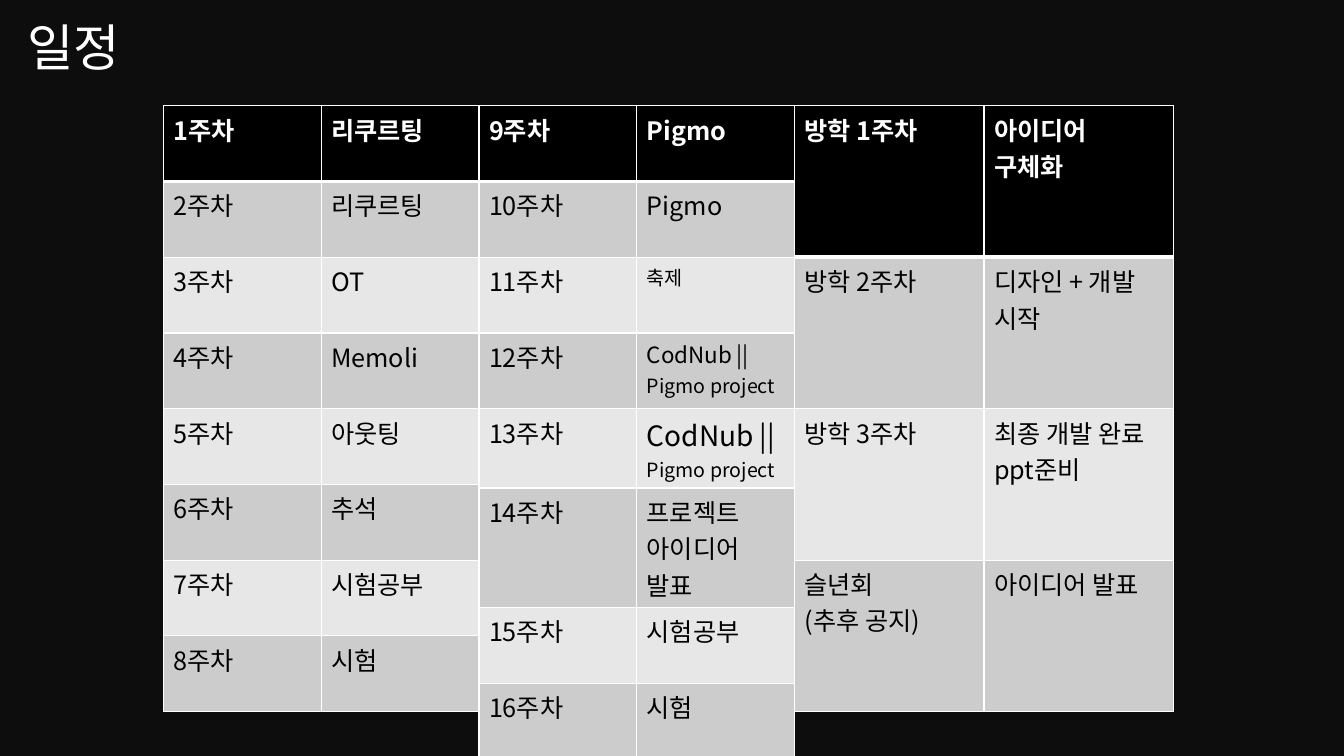
from lxml.etree import SubElement
from pptx import Presentation
from pptx.dml.color import RGBColor
from pptx.enum.text import MSO_ANCHOR, PP_ALIGN
from pptx.oxml.ns import qn
from pptx.util import Inches, Pt

BACK = RGBColor(0x0D, 0x0D, 0x0D)
BLACK = RGBColor(0, 0, 0)
WHITE = RGBColor(0xFF, 0xFF, 0xFF)
DARK = RGBColor(0xCC, 0xCC, 0xCC)
LIGHT = RGBColor(0xE7, 0xE7, 0xE7)
FONT = "Noto Sans CJK KR"

# Schedule rows: week, plan, then the size of each line where it is not 18
FIRST = [
    ("1주차", "리쿠르팅"), ("2주차", "리쿠르팅"), ("3주차", "OT"),
    ("4주차", "Memoli"), ("5주차", "아웃팅"), ("6주차", "추석"),
    ("7주차", "시험공부"), ("8주차", "시험"),
]
SECOND = [
    ("9주차", "Pigmo"), ("10주차", "Pigmo"), ("11주차", "축제", 14),
    ("12주차", "CodNub ||\vPigmo project", 16, 14),
    ("13주차", "CodNub ||\vPigmo project", 20, 14),
    ("14주차", "프로젝트 아이디어 발표"), ("15주차", "시험공부"), ("16주차", "시험"),
]
BREAK = [
    ("방학 1주차", "아이디어 \v구체화"), ("방학 2주차", "디자인 + 개발 시작"),
    ("방학 3주차", "최종 개발 완료 ppt준비"), ("슬년회\n(추후 공지)", "아이디어 발표"),
]


def set_font(font, size, color, bold=False):
    font.size, font.bold = Pt(size), bold
    font.color.rgb = color
    font.name = FONT
    SubElement(font._element, qn("a:ea"), typeface=FONT)


def add_edges(cell, head):
    props = cell._tc.get_or_add_tcPr()
    for side in "LRTB":
        width = 3 if head and side == "B" else 1
        line = SubElement(props, qn(f"a:ln{side}"), w=str(Pt(width)))
        fill = SubElement(line, qn("a:solidFill"))
        SubElement(fill, qn("a:srgbClr"), val=str(WHITE))


def fill_cell(cell, row, text, sizes):
    head = row == 0
    add_edges(cell, head)
    cell.fill.solid()
    cell.fill.fore_color.rgb = BLACK if head else DARK if row % 2 else LIGHT
    cell.text_frame.text = text
    for para in cell.text_frame.paragraphs:
        set_font(para.font, sizes[0] if sizes else 18, WHITE if head else BLACK, head)
        for run, size in zip(para.runs, sizes):
            run.font.size = Pt(size)


def add_plan(slide, plan, left, top, width, height):
    frame = slide.shapes.add_table(len(plan), 2, left, top, width, height)
    for row, (week, task, *sizes) in enumerate(plan):
        fill_cell(frame.table.cell(row, 0), row, week, [])
        fill_cell(frame.table.cell(row, 1), row, task, sizes)


def add_title(slide, text, left, top, width, height):
    title = slide.shapes.title
    title.left, title.top, title.width, title.height = left, top, width, height
    frame = title.text_frame
    frame.text = text
    frame.vertical_anchor = MSO_ANCHOR.TOP
    para = frame.paragraphs[0]
    para.alignment = PP_ALIGN.LEFT
    set_font(para.font, 36, WHITE)


def main():
    deck = Presentation()
    deck.slide_width, deck.slide_height = Inches(13.33), Inches(7.5)
    slide = deck.slides.add_slide(deck.slide_layouts[5])
    slide.background.fill.solid()
    slide.background.fill.fore_color.rgb = BACK

    add_title(slide, "일정", Inches(0.17), Inches(0.11), Inches(7.03), Inches(0.71))

    # Three tables side by side
    left = Inches(1.62)
    for plan, width in ((FIRST, 3.13), (SECOND, 3.13), (BREAK, 3.76)):
        add_plan(slide, plan, left, Inches(1.05), Inches(width), Inches(6.01))
        left += Inches(width)

    deck.save("out.pptx")


if __name__ == "__main__":
    main()
